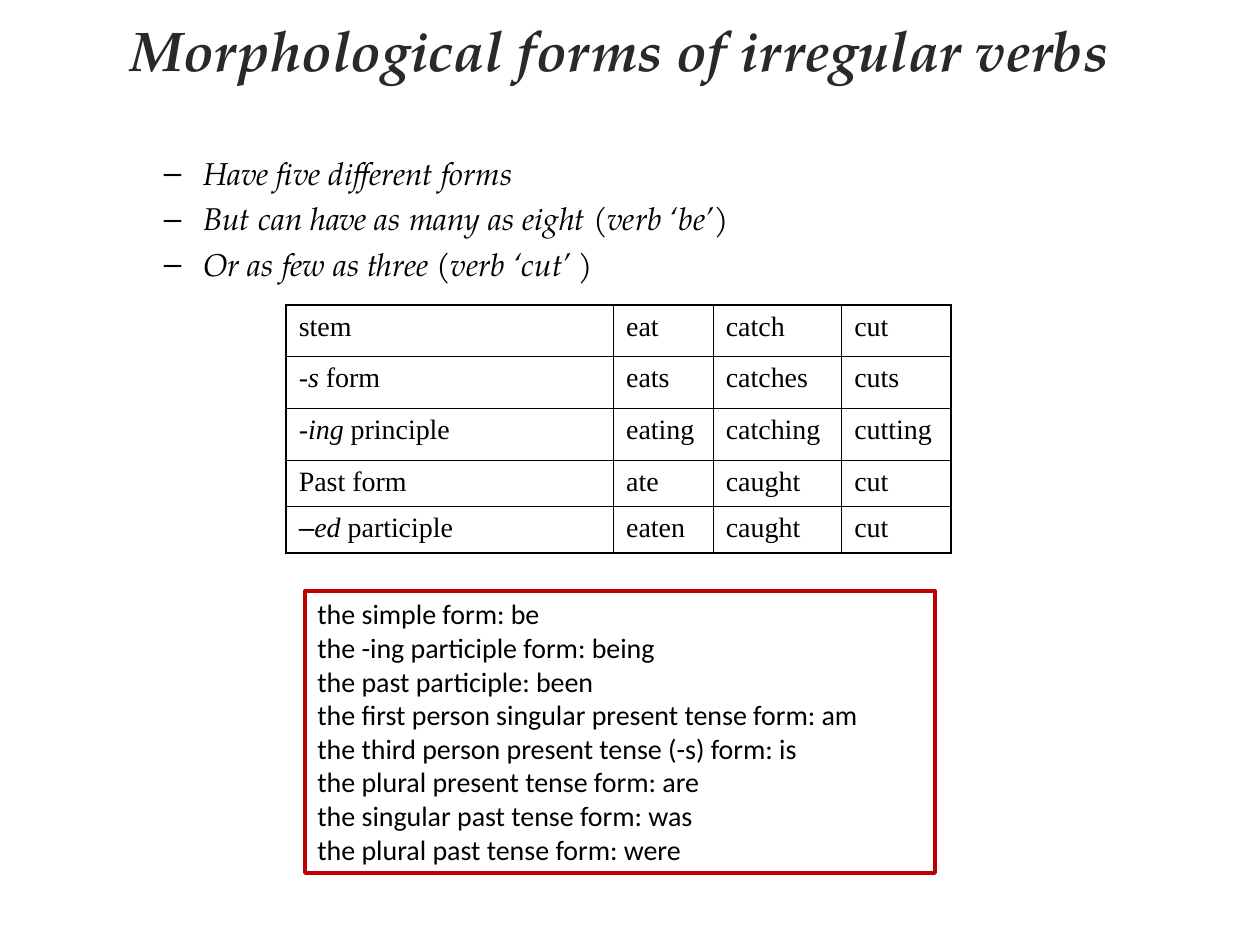
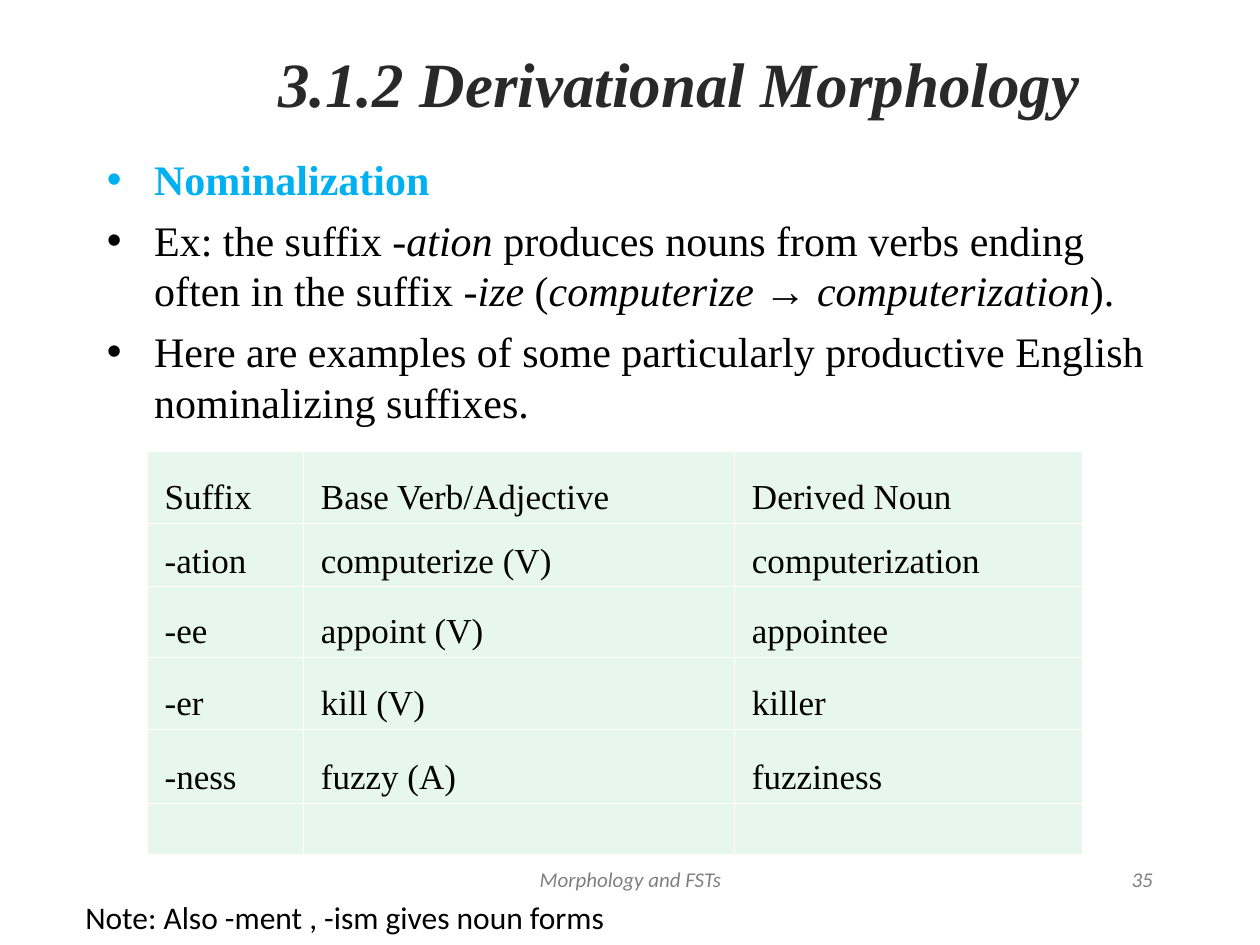
from lxml import etree
from pptx import Presentation
from pptx.dml.color import RGBColor
from pptx.enum import shapes, text
from pptx.oxml import ns
from pptx.util import Cm, Pt

COLORS = {
    "title": "292929",
    "text": "000000",
    "accent": "00B0F0",
    "frame": "C00000",
    "footer": "808080",
    "cell": "E7F6EF",
    "grid": "FFFFFF",
}
SERIF = "Times New Roman"
SANS = "Calibri"
ITALIC_SERIF = "TeX Gyre Pagella"
THIN, THICK = 0.45, 1.08
LINE_HEIGHT = 1.2

VERB_ROWS = [
    ["stem", "eat", "catch", "cut"],
    ["-*s* form", "eats", "catches", "cuts"],
    ["-*ing* principle", "eating", "catching", "cutting"],
    ["Past form", "ate", "caught", "cut"],
    ["–*ed* participle", "eaten", "caught", "cut"],
]
BE_FORMS = [
    "the simple form: be",
    "the -ing participle form: being",
    "the past participle: been",
    "the first person singular present tense form: am",
    "the third person present tense (-s) form: is",
    "the plural present tense form: are",
    "the singular past tense form: was",
    "the plural past tense form: were",
]
SUFFIX_ROWS = [
    ["Suffix", "Base Verb/Adjective", "Derived Noun"],
    ["-ation", "computerize (V)", "computerization"],
    ["-ee", "appoint (V)", "appointee"],
    ["-er", "kill (V)", "killer"],
    ["-ness", "fuzzy (A)", "fuzziness"],
    ["", "", ""],
]


def color(name):
    return RGBColor.from_string(COLORS[name])


def format_run(run, font, size, color_name="text", bold=False, italic=False):
    run.font.name = font
    run.font.size = Pt(size)
    run.font.bold = bold
    run.font.italic = italic
    run.font.color.rgb = color(color_name)


def write(paragraph, content, font, size, color_name="text", bold=False, italic=False):
    """Fill a paragraph; parts between asterisks are italic."""
    for index, part in enumerate(content.split("*")):
        if part:
            run = paragraph.add_run()
            run.text = part
            format_run(run, font, size, color_name, bold, italic or index % 2 == 1)


def write_lines(frame, lines, font, size, **style):
    """Write one paragraph per line and return the paragraphs."""
    for index, line in enumerate(lines):
        paragraph = frame.paragraphs[0] if index == 0 else frame.add_paragraph()
        write(paragraph, line, font, size, **style)
    return frame.paragraphs


def place(shape, left, top, width, height):
    shape.left, shape.top = Cm(left), Cm(top)
    shape.width, shape.height = Cm(width), Cm(height)


def set_title(slide, content, box, font, size):
    title = slide.shapes.title
    place(title, *box)
    frame = title.text_frame
    frame.auto_size = text.MSO_AUTO_SIZE.NONE
    frame.vertical_anchor = text.MSO_ANCHOR.MIDDLE
    write(frame.paragraphs[0], content, font, size, "title", bold=True, italic=True)
    frame.paragraphs[0].alignment = text.PP_ALIGN.CENTER


def set_list(slide, lines, box, font, size, gap, level=0, italic=False):
    body = slide.placeholders[1]
    place(body, *box)
    body.text_frame.auto_size = text.MSO_AUTO_SIZE.NONE
    paragraphs = write_lines(body.text_frame, lines, font, size, italic=italic)
    for index, paragraph in enumerate(paragraphs):
        paragraph.level = level
        paragraph.line_spacing = Pt(size * LINE_HEIGHT)
        paragraph.space_before = Pt(gap if index else 0)
    return paragraphs


def add_label(slide, content, box, size, color_name="text", italic=False,
              alignment=text.PP_ALIGN.LEFT):
    frame = slide.shapes.add_textbox(*map(Cm, box)).text_frame
    frame.word_wrap = True
    write(frame.paragraphs[0], content, SANS, size, color_name, italic=italic)
    frame.paragraphs[0].alignment = alignment


def add_framed_list(slide, lines, box, size):
    shape = slide.shapes.add_shape(shapes.MSO_SHAPE.RECTANGLE, *map(Cm, box))
    shape.shadow.inherit = False
    shape.fill.background()
    shape.line.color.rgb = color("frame")
    shape.line.width = Pt(2.25)
    frame = shape.text_frame
    frame.word_wrap = True
    frame.vertical_anchor = text.MSO_ANCHOR.TOP
    for paragraph in write_lines(frame, lines, SANS, size):
        paragraph.alignment = text.PP_ALIGN.LEFT


def set_borders(cell, color_name, widths):
    """Draw left, right, top and bottom borders, given in that order."""
    properties = cell._tc.get_or_add_tcPr()
    for index, (side, width) in enumerate(zip("LRTB", widths)):
        line = etree.Element(ns.qn(f"a:ln{side}"), w=str(Pt(width)))
        fill = etree.SubElement(line, ns.qn("a:solidFill"))
        etree.SubElement(fill, ns.qn("a:srgbClr"), val=COLORS[color_name])
        properties.insert(index, line)


def add_grid(slide, rows, origin, widths, heights, size, border, outer=THIN, fill=None):
    frame = slide.shapes.add_table(len(rows), len(widths), *map(Cm, origin),
                                   Cm(sum(widths)), Cm(sum(heights)))
    table = frame.table
    table.first_row = table.horz_banding = False
    for column, width in zip(table.columns, widths):
        column.width = Cm(width)
    last_row, last_column = len(rows) - 1, len(widths) - 1
    for r, values in enumerate(rows):
        table.rows[r].height = Cm(heights[r])
        for c, value in enumerate(values):
            cell = table.cell(r, c)
            write(cell.text_frame.paragraphs[0], value, SERIF, size)
            if fill:
                cell.fill.solid()
                cell.fill.fore_color.rgb = color(fill)
            else:
                cell.fill.background()
            at_edge = (c == 0, c == last_column, r == 0, r == last_row)
            set_borders(cell, border, [outer if edge else THIN for edge in at_edge])
    return table


def build_irregular_verbs(presentation):
    slide = presentation.slides.add_slide(presentation.slide_layouts[1])
    set_title(slide, "Morphological forms of irregular verbs",
              (1.7, 0.15, 21.59, 1.7), ITALIC_SERIF, 32)
    set_list(slide, ["Have five different forms",
                     "But can have as many as eight (verb ‘be’)",
                     "Or as few as three (verb ‘cut’ )"],
             (1.78, 2.97, 21.59, 8.33), ITALIC_SERIF, 18, gap=4.5, level=1, italic=True)

    # Verb form table
    table = add_grid(slide, VERB_ROWS, (5.77, 6.15), [6.6, 2.01, 2.59, 2.2],
                     [1.04] * 3 + [0.94] * 2, 16, "text", outer=THICK)
    dash = table.cell(4, 0).text_frame.paragraphs[0].runs[0]
    dash.font.name = "Arial"

    # Forms of the verb "be"
    add_framed_list(slide, BE_FORMS, (6.15, 11.91, 12.7, 5.69), 16)


def build_derivation(presentation):
    slide = presentation.slides.add_slide(presentation.slide_layouts[1])
    set_title(slide, "3.1.2 Derivational Morphology", (1.47, 0.53, 24.43, 2.24), SERIF, 36)
    paragraphs = set_list(
        slide,
        ["Nominalization",
         "Ex: the suffix *-ation* produces nouns from verbs ending often in the suffix "
         "*-ize* (*computerize* → *computerization*).",
         "Here are examples of some particularly productive English nominalizing suffixes."],
        (1.9, 2.97, 21.59, 13.97), SERIF, 24, gap=6)
    format_run(paragraphs[0].runs[0], SERIF, 24, "accent", bold=True)

    # Footer
    footer = {"size": 12, "color_name": "footer", "italic": True}
    add_label(slide, "Morphology and FSTs", (8.69, 17.35, 8.04, 1.27),
              alignment=text.PP_ALIGN.CENTER, **footer)
    add_label(slide, "35", (18.21, 17.35, 5.28, 1.27),
              alignment=text.PP_ALIGN.RIGHT, **footer)

    # Suffix table
    table = add_grid(slide, SUFFIX_ROWS, (2.97, 9.09), [3.15, 8.69, 7.01],
                     [1.46, 1.28, 1.43, 1.45, 1.49, 1.03], 20, "grid", fill="cell")
    for r in range(len(SUFFIX_ROWS) - 1):
        for cell in table.rows[r].cells:
            cell.vertical_anchor = text.MSO_ANCHOR.BOTTOM
            cell.margin_left = Cm(0.35)
            cell.text_frame.paragraphs[0].line_spacing = Pt(10.5 if r == 1 else 11.5)

    add_label(slide, "Note: Also -ment , -ism gives noun forms", (1.47, 17.98, 11.43, 1.02), 18)


def main():
    presentation = Presentation()
    presentation.slide_width, presentation.slide_height = Cm(25.4), Cm(19.05)
    build_irregular_verbs(presentation)
    build_derivation(presentation)
    presentation.save("out.pptx")


if __name__ == "__main__":
    main()
